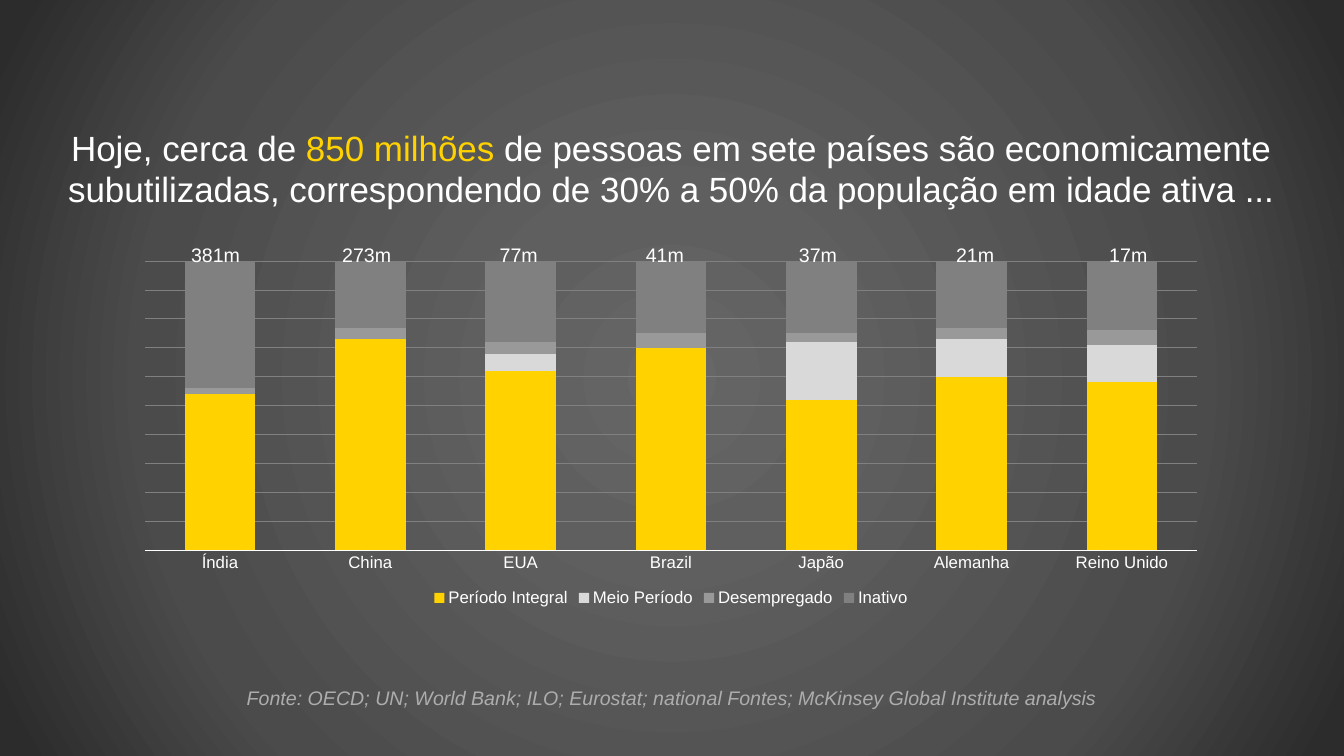
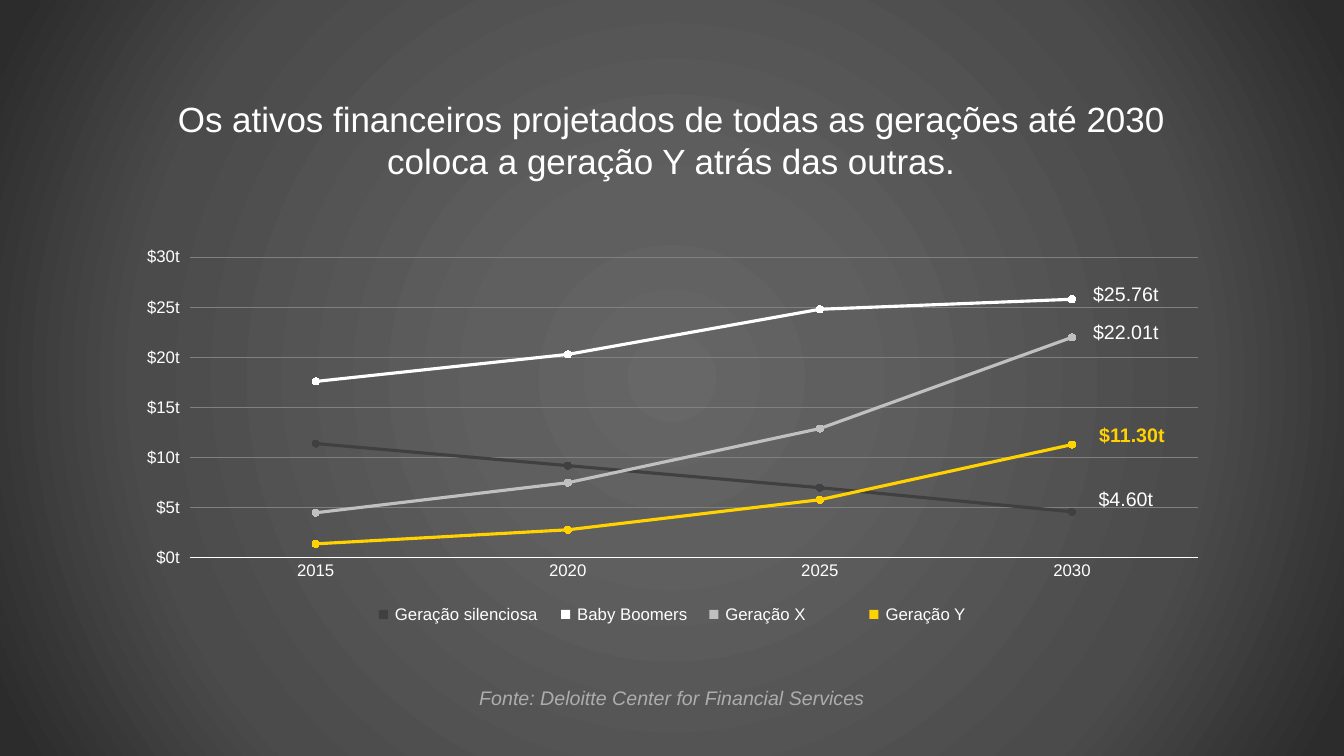
import lxml.etree
import pptx
import pptx.chart.data
import pptx.dml.color
import pptx.enum.chart
import pptx.enum.shapes
import pptx.enum.text
import pptx.oxml
import pptx.oxml.ns
import pptx.util

RGB = pptx.dml.color.RGBColor
ALIGN = pptx.enum.text.PP_ALIGN
CHART_TYPE = pptx.enum.chart.XL_CHART_TYPE
TICK = pptx.enum.chart.XL_TICK_MARK
RECTANGLE = pptx.enum.shapes.MSO_SHAPE.RECTANGLE
qn = pptx.oxml.ns.qn

PX = 9144  # 100 px to the inch
WIDTH, HEIGHT = 1334, 750
FONT = "Arial"
WHITE = RGB(0xFF, 0xFF, 0xFF)
YELLOW = RGB(0xFF, 0xD2, 0x00)
LIGHT = RGB(0xD9, 0xD9, 0xD9)
SILVER = RGB(0xC0, 0xC0, 0xC0)
SOURCE_GREY = RGB(0xAD, 0xAD, 0xAD)
MID_GREY = RGB(0x99, 0x99, 0x99)
GREY = RGB(0x80, 0x80, 0x80)
DARK = RGB(0x40, 0x40, 0x40)
BACKDROP = RGB(0x33, 0x33, 0x33)
GLOW_STOPS = [(0, "676767"), (23, "5F5F5F"), (69, "4B4B4B"), (97, "2C2C2C")]


def add_text(shapes, box, runs, size, align=ALIGN.CENTER, inset=(0, 0),
             wrap=True, spacing=None, bold=False, italic=False):
    """Add a one-paragraph box; runs are (text, colour) pairs."""
    frame = shapes.add_textbox(*[n * PX for n in box]).text_frame
    frame.word_wrap = wrap
    frame.margin_left = frame.margin_right = inset[0] * PX
    frame.margin_top = frame.margin_bottom = inset[1] * PX
    paragraph = frame.paragraphs[0]
    paragraph.alignment = align
    if spacing:
        paragraph.line_spacing = spacing
    for text, colour in runs:
        run = paragraph.add_run()
        run.text = text
        run.font.name = FONT
        run.font.size = pptx.util.Pt(size)
        run.font.color.rgb = colour
        run.font.bold = bold
        run.font.italic = italic


def add_styled_chart(slide, kind, box, categories, series, plot_area):
    """Add a chart; series are (name, colour, values), plot_area is in chart fractions."""
    data = pptx.chart.data.CategoryChartData()
    data.categories = categories
    for name, _, values in series:
        data.add_series(name, values)
    chart = slide.shapes.add_chart(kind, *[n * PX for n in box], data).chart
    chart.has_title = False
    chart.has_legend = False
    chart.font.name = FONT
    chart.font.size = pptx.util.Pt(12)
    chart.font.color.rgb = WHITE
    chart.plots[0].vary_by_categories = False

    category_axis, value_axis = chart.category_axis, chart.value_axis
    category_axis.major_tick_mark = TICK.NONE
    value_axis.has_major_gridlines = True
    for line, colour in [(category_axis.format.line, WHITE),
                         (value_axis.major_gridlines.format.line, GREY)]:
        line.color.rgb = colour
        line.width = pptx.util.Pt(0.75)

    plot = chart._chartSpace.find(".//" + qn("c:plotArea"))
    for old_layout in plot.findall(qn("c:layout")):
        plot.remove(old_layout)
    layout = lxml.etree.Element(qn("c:layout"))
    manual = lxml.etree.SubElement(layout, qn("c:manualLayout"))
    settings = [("layoutTarget", "inner"), ("xMode", "edge"), ("yMode", "edge"),
                *zip("xywh", plot_area)]
    for tag, value in settings:
        lxml.etree.SubElement(manual, qn("c:" + tag)).set("val", str(value))
    plot.insert(0, layout)
    return chart


prs = pptx.Presentation()
prs.slide_width, prs.slide_height = WIDTH * PX, HEIGHT * PX
master = prs.slide_master
master.background.fill.solid()
master.background.fill.fore_color.rgb = BACKDROP

# Titles and sources
headings = [
    ((9, 125, 1314, 29),
     [("Hoje, cerca de ", WHITE), ("850 milhões ", YELLOW),
      ("de pessoas em sete países são economicamente subutilizadas, "
       "correspondendo de 30% a 50% da população em idade ativa ...", WHITE)],
     "Fonte: OECD; UN; World Bank; ILO; Eurostat; national Fontes; "
     "McKinsey Global Institute analysis"),
    ((122, 97, 1088, 29),
     [("Os ativos financeiros projetados de todas as gerações até 2030 "
       "coloca a geração Y atrás das outras.", WHITE)],
     "Fonte: Deloitte Center for Financial Services"),
]
for title_box, title_runs, source in headings:
    slide = prs.slides.add_slide(prs.slide_layouts[6])
    add_text(slide.shapes, title_box, title_runs, 25)
    add_text(slide.shapes, (234, 684, 866, 35), [(source, SOURCE_GREY)], 14,
             spacing=0.85, italic=True)
workforce, assets = prs.slides

# Radial glow, moved to the master so that both slides share it
glow = workforce.shapes.add_shape(RECTANGLE, 0, 0, WIDTH * PX, HEIGHT * PX)
glow.shadow.inherit = False
glow.line.fill.background()
glow.fill.gradient()
stops = "".join(f'<a:gs pos="{percent * 1000}"><a:srgbClr val="{colour}"/></a:gs>'
                for percent, colour in GLOW_STOPS)
radial = pptx.oxml.parse_xml(
    f'<a:gradFill {pptx.oxml.ns.nsdecls("a")}><a:gsLst>{stops}</a:gsLst><a:path path="circle">'
    '<a:fillToRect l="50000" t="50000" r="50000" b="50000"/></a:path></a:gradFill>')
linear = glow._element.spPr.find(qn("a:gradFill"))
linear.getparent().replace(linear, radial)
master.shapes._spTree.insert(2, glow._element)

# Slide 1: workforce by country
countries = ["Índia", "China", "EUA", "Brazil", "Japão", "Alemanha", "Reino Unido"]
work_status = [
    ("Período Integral", YELLOW, [54, 73, 62, 70, 52, 60, 58]),
    ("Meio Período", LIGHT, [0, 0, 6, 0, 20, 13, 13]),
    ("Desempregado", MID_GREY, [2, 4, 4, 5, 3, 4, 5]),
    ("Inativo", GREY, [44, 23, 28, 25, 25, 23, 24]),
]
chart = add_styled_chart(workforce, CHART_TYPE.COLUMN_STACKED_100, (122, 252, 1088, 354),
                         countries, work_status, (0.02, 0.02, 0.96, 0.81))
chart.value_axis.visible = False
chart.plots[0].gap_width = 113
chart.plots[0].overlap = 100
chart.has_legend = True
chart.legend.position = pptx.enum.chart.XL_LEGEND_POSITION.BOTTOM
chart.legend.include_in_layout = False
chart.legend.font.name = FONT
chart.legend.font.size = pptx.util.Pt(12)
chart.legend.font.color.rgb = WHITE
for bars, (_, colour, _) in zip(chart.plots[0].series, work_status):
    bars.format.fill.solid()
    bars.format.fill.fore_color.rgb = colour

underused = [("381m", 214), ("273m", 364), ("77m", 515), ("41m", 660),
             ("37m", 812), ("21m", 968), ("17m", 1120)]
for people, centre in underused:
    add_text(workforce.shapes, (centre - 37, 236, 74, 34), [(people, WHITE)], 14,
             inset=(10, 5), wrap=False)

# Slide 2: assets by generation
generations = [
    ("Geração silenciosa", DARK, [11.4, 9.2, 7, 4.6]),
    ("Baby Boomers", WHITE, [17.6, 20.3, 24.8, 25.8]),
    ("Geração X", SILVER, [4.5, 7.5, 12.9, 22]),
    ("Geração Y", YELLOW, [1.4, 2.8, 5.8, 11.3]),
]
chart = add_styled_chart(assets, CHART_TYPE.LINE_MARKERS, (123, 238, 1088, 343),
                         ["2015", "2020", "2025", "2030"], generations,
                         (0.06, 0.05, 0.92, 0.87))
dollars = chart.value_axis
dollars.minimum_scale, dollars.maximum_scale, dollars.major_unit = 0, 30, 5
dollars.major_tick_mark = TICK.OUTSIDE
dollars.format.line.fill.background()
dollars.tick_labels.number_format = '"$"#,##0\\t'
dollars.tick_labels.number_format_is_linked = False
for trend, (_, colour, _) in zip(chart.plots[0].series, generations):
    trend.smooth = False
    trend.format.line.color.rgb = colour
    trend.format.line.width = pptx.util.Pt(2.25)
    trend.marker.style = pptx.enum.chart.XL_MARKER_STYLE.CIRCLE
    trend.marker.size = 5
    trend.marker.format.fill.solid()
    trend.marker.format.fill.fore_color.rgb = colour
    trend.marker.format.line.color.rgb = colour

legend_places = [(376, 169), (557, 110), (704, 119), (863, 82)]
for (name, colour, _), (left, label_width) in zip(generations, legend_places):
    entry = assets.shapes.add_group_shape().shapes
    swatch = entry.add_shape(RECTANGLE, left * PX, 605 * PX, 9 * PX, 9 * PX)
    swatch.shadow.inherit = False
    swatch.fill.solid()
    swatch.fill.fore_color.rgb = colour
    swatch.line.fill.background()
    add_text(entry, (left + 16, 598, label_width, 21), [(name, WHITE)], 12,
             align=ALIGN.LEFT, inset=(0, 4), spacing=0.85)

totals_2030 = [("$25.76t", WHITE, (1070, 275, 95, 34)), ("$22.01t", WHITE, (1070, 312, 95, 34)),
               ("$11.30t", YELLOW, (1076, 415, 95, 34)), ("$4.60t", WHITE, (1076, 478, 83, 34))]
for total, colour, box in totals_2030:
    add_text(assets.shapes, box, [(total, colour)], 14, inset=(10, 5), wrap=False,
             bold=colour == YELLOW)

prs.save("out.pptx")
